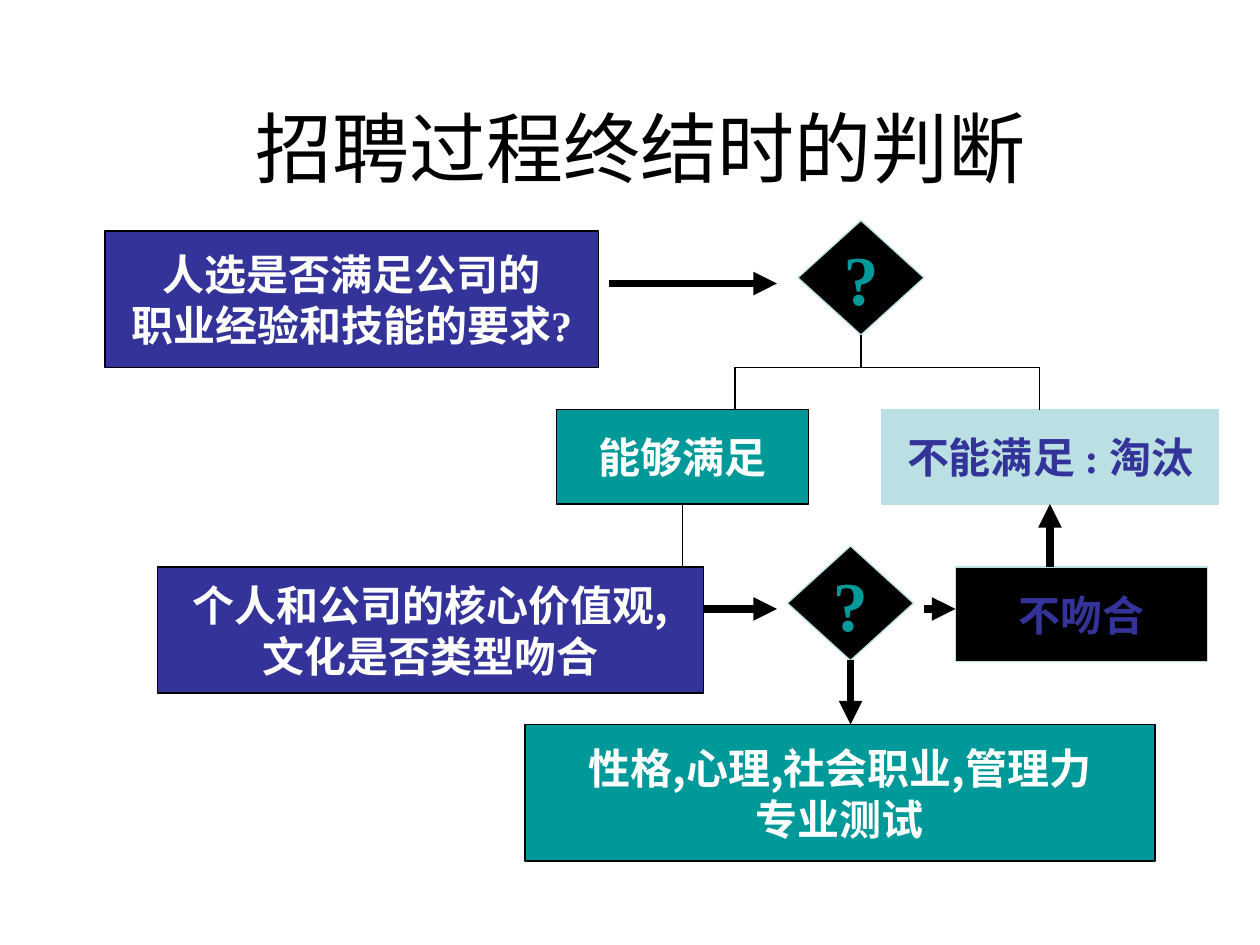
from pptx import Presentation
from pptx.dml.color import RGBColor
from pptx.enum.shapes import MSO_CONNECTOR, MSO_SHAPE
from pptx.enum.text import MSO_ANCHOR, MSO_AUTO_SIZE, PP_ALIGN
from pptx.oxml.ns import qn
from pptx.util import Emu, Pt
from lxml.etree import SubElement

EMU_PER_PX = 7620  # 120 px to the inch
BLACK, WHITE, NAVY, TEAL, PALE = "000000", "FFFFFF", "333399", "009999", "BBE0E3"
SERIF, SANS, CHINESE = "Times New Roman", "Arial", "Noto Sans CJK SC"


def px(value):
    return Emu(value * EMU_PER_PX)


def rgb(value):
    return RGBColor.from_string(value)


class FlowSlide:
    def __init__(self, presentation):
        self.slide = presentation.slides.add_slide(presentation.slide_layouts[5])

    def set_text(self, shape, text, size, color, font, bold=True, spacing=None):
        frame = shape.text_frame
        frame.text = text
        frame.auto_size = MSO_AUTO_SIZE.NONE
        frame.vertical_anchor = MSO_ANCHOR.MIDDLE
        for paragraph in frame.paragraphs:
            paragraph.alignment = PP_ALIGN.CENTER
            if spacing:
                paragraph.line_spacing = Pt(spacing)
            for run in paragraph.runs:
                run.font.size, run.font.bold, run.font.name = Pt(size), bold, font
                run.font.color.rgb = rgb(color)
                east_asian = SubElement(run.font._element, qn("a:ea"))
                east_asian.set("typeface", CHINESE)

    def title(self, text, left, top, width, height):
        shape = self.slide.shapes.title
        shape.left, shape.top = px(left), px(top)
        shape.width, shape.height = px(width), px(height)
        self.set_text(shape, text, 44, BLACK, SANS, bold=False)

    def node(self, kind, bounds, fill, line):
        shape = self.slide.shapes.add_shape(kind, *map(px, bounds))
        shape.shadow.inherit = False
        shape.fill.solid()
        shape.fill.fore_color.rgb = rgb(fill)
        shape.line.color.rgb = rgb(line)
        shape.line.width = Pt(0.75)
        shape.text_frame.word_wrap = False
        return shape

    def box(self, text, bounds, fill, line=BLACK, color=WHITE, font=SERIF):
        shape = self.node(MSO_SHAPE.RECTANGLE, bounds, fill, line)
        self.set_text(shape, text, 24, color, font, spacing=29)
        return shape

    def decision(self, left, top):
        shape = self.node(MSO_SHAPE.DIAMOND, (left, top, 120, 109), BLACK, PALE)
        self.set_text(shape, "?", 40, TEAL, SERIF)
        return shape

    def line(self, x1, y1, x2, y2, width=0.75, start=None, end=None):
        """Draw a line; start and end are optional (shape, site) joins."""
        connector = self.slide.shapes.add_connector(
            MSO_CONNECTOR.STRAIGHT, *map(px, (x1, y1, x2, y2)))
        if start:
            connector.begin_connect(*start)
        if end:
            connector.end_connect(*end)
        connector.line.color.rgb = rgb(BLACK)
        connector.line.width = Pt(width)
        SubElement(connector._element.spPr, qn("a:effectLst"))
        return connector

    def arrow(self, *points, **joins):
        connector = self.line(*points, width=4.5, **joins)
        outline = connector._element.spPr.find(qn("a:ln"))
        SubElement(outline, qn("a:tailEnd")).set("type", "triangle")


def main():
    presentation = Presentation()
    presentation.slide_width, presentation.slide_height = px(1200), px(900)
    flow = FlowSlide(presentation)
    flow.title("招聘过程终结时的判断", 100, 90, 1020, 100)

    flow.box("人选是否满足公司的\n职业经验和技能的要求?", (100, 220, 470, 130), NAVY)
    rejected = flow.box("不能满足 : 淘汰", (840, 390, 320, 90), PALE, PALE, NAVY)
    satisfied = flow.box("能够满足", (530, 390, 240, 90), TEAL)
    skills_decision = flow.decision(760, 210)
    flow.box("个人和公司的核心价值观,\n文化是否类型吻合", (150, 540, 520, 120), NAVY, font=CHINESE)
    flow.box("性格,心理,社会职业,管理力\n专业测试", (500, 690, 600, 130), TEAL, font=CHINESE)
    values_decision = flow.decision(750, 520)
    flow.box("不吻合", (910, 540, 240, 90), BLACK, PALE, NAVY)

    flow.line(820, 320, 820, 350, start=(skills_decision, 2))
    flow.line(700, 350, 990, 350)
    for x in (700, 990):
        flow.line(x, 350, x, 390)
    flow.line(650, 480, 650, 540, start=(satisfied, 2))

    flow.arrow(580, 270, 740, 270)
    flow.arrow(670, 580, 740, 580)
    flow.arrow(810, 630, 810, 690, start=(values_decision, 2))
    flow.arrow(880, 580, 910, 580)
    flow.arrow(1000, 540, 1000, 480, end=(rejected, 2))

    presentation.save("out.pptx")


if __name__ == "__main__":
    main()
